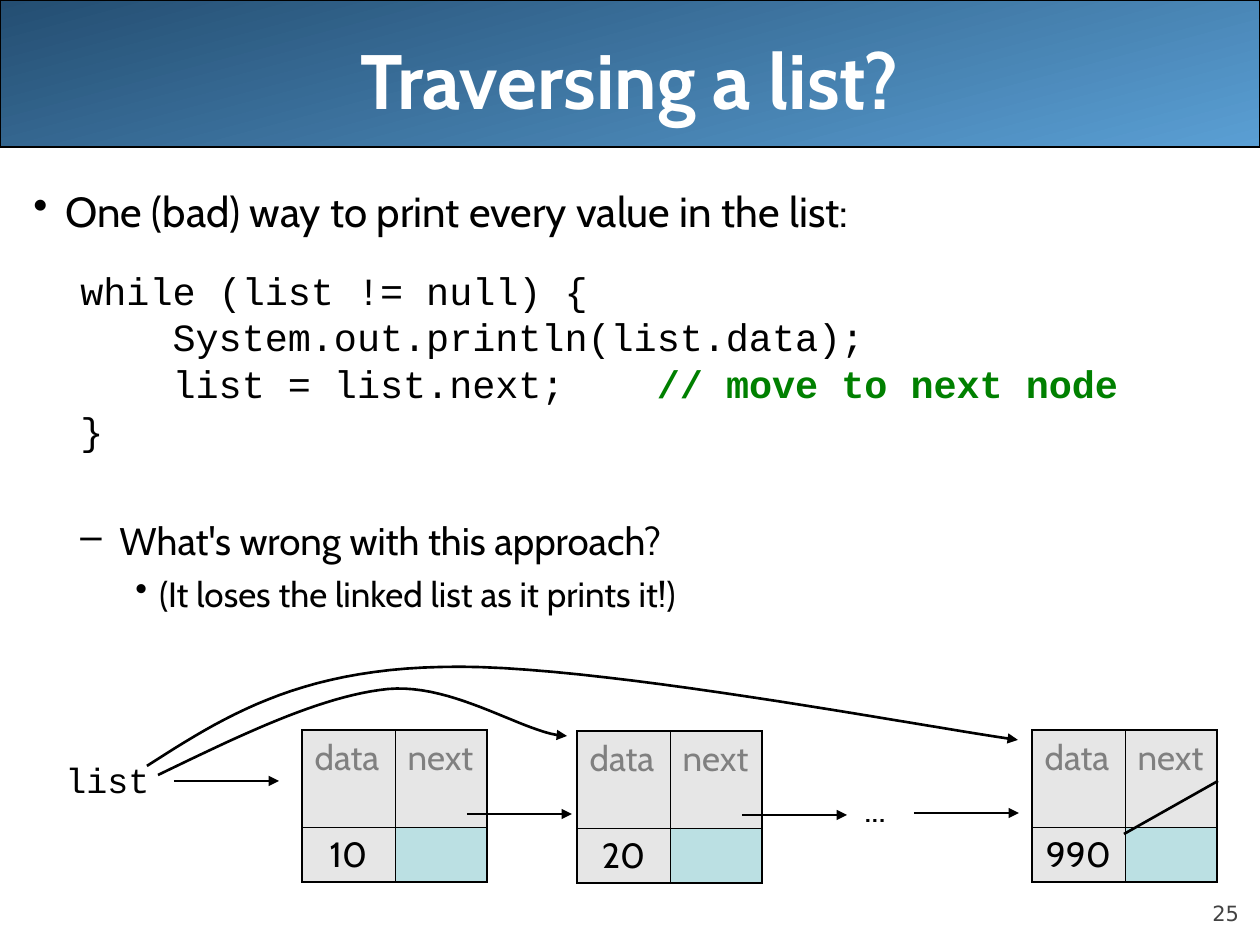
from pptx import Presentation
from pptx.dml.color import RGBColor
from pptx.enum.shapes import MSO_CONNECTOR, MSO_SHAPE
from pptx.enum.text import MSO_ANCHOR, PP_ALIGN
from pptx.oxml.ns import qn
from pptx.util import Emu, Pt
from lxml.etree import SubElement

RECTANGLE = MSO_SHAPE.RECTANGLE
STRAIGHT = MSO_CONNECTOR.STRAIGHT
TOP, MIDDLE, BOTTOM = MSO_ANCHOR.TOP, MSO_ANCHOR.MIDDLE, MSO_ANCHOR.BOTTOM
LEFT, CENTER, RIGHT = PP_ALIGN.LEFT, PP_ALIGN.CENTER, PP_ALIGN.RIGHT
EMU_PER_PX = 914400 / 126
SANS, MONO = "Cabin", "Courier New"
BLACK, WHITE, GREY, GREEN = "000000", "FFFFFF", "808080", "008000"
NODE_GREY, NODE_BLUE = "E6E6E6", "BBE0E3"
OUTER, INNER = 1.08, 0.45
COLUMNS, ROWS = (93, 92), (97, 55)


def px(length):
    """Turn pixels into EMU."""
    return Emu(round(length * EMU_PER_PX))


def color(value):
    """Turn a hex string into a colour."""
    return RGBColor.from_string(value)


def add_run(paragraph, text, size=22, font=SANS, ink=BLACK, bold=False):
    """Append a formatted run."""
    run = paragraph.add_run()
    run.text = text
    run.font.size, run.font.name, run.font.bold = Pt(size), font, bold
    run.font.color.rgb = color(ink)


def write(paragraph, text, align=LEFT, before=0, spacing=None, indent=None,
          bullet=None, level=0, **style):
    """Fill a paragraph with text in the given format."""
    properties = paragraph._p.get_or_add_pPr()
    if indent:
        margin, hanging = indent
        properties.set("marL", str(px(margin)))
        properties.set("indent", str(px(-hanging)))
    if bullet:
        SubElement(properties, qn("a:buChar")).set("char", bullet)
    paragraph.level, paragraph.alignment = level, align
    if before:
        paragraph.space_before = Pt(before)
    if spacing:
        paragraph.line_spacing = spacing
    add_run(paragraph, text, **style)


def add_frame(slide, x, y, width, height, anchor=TOP, wrap=True, inset=True):
    """Add a text box and return its text frame."""
    frame = slide.shapes.add_textbox(px(x), px(y), px(width), px(height)).text_frame
    frame.word_wrap, frame.vertical_anchor = wrap, anchor
    if not inset:
        frame.margin_left = frame.margin_right = 0
        frame.margin_top = frame.margin_bottom = 0
    return frame


def style_line(line, arrow=False):
    """Give a line its ink, and an arrowhead if asked."""
    line.color.rgb, line.width = color(BLACK), Pt(1.5)
    if arrow:
        SubElement(line._get_or_add_ln(), qn("a:tailEnd")).set("type", "triangle")


def add_link(slide, start, end, arrow=True):
    """Draw a straight link between two points."""
    link = slide.shapes.add_connector(STRAIGHT, *map(px, start + end))
    SubElement(link._element.spPr, qn("a:effectLst"))
    style_line(link.line, arrow)


def bezier(a, b, c, d, steps=24):
    """Return points along a cubic curve, without its start."""
    points = []
    for step in range(1, steps + 1):
        t = step / steps
        weights = (1 - t) ** 3, 3 * t * (1 - t) ** 2, 3 * t * t * (1 - t), t ** 3
        points.append(tuple(px(sum(w * p[axis] for w, p in zip(weights, (a, b, c, d))))
                            for axis in (0, 1)))
    return points


def add_curve(slide, x, y, knots):
    """Draw a curved arrow through two joined cubic curves."""
    knots = [(x + left, y + top) for left, top in knots]
    builder = slide.shapes.build_freeform(*map(px, knots[0]))
    builder.add_line_segments(bezier(*knots[:4]) + bezier(*knots[3:]), close=False)
    curve = builder.convert_to_shape()
    curve.shadow.inherit = False
    curve.fill.background()
    style_line(curve.line, arrow=True)


def set_borders(cell, row, column):
    """Draw thick outer and thin inner cell borders."""
    properties = cell._tc.get_or_add_tcPr()
    thick = {"L": column == 0, "R": column == 1, "T": row == 0, "B": row == 1}
    for side, is_outer in thick.items():
        border = SubElement(properties, qn(f"a:ln{side}"))
        border.set("w", str(Pt(OUTER if is_outer else INNER)))
        fill = SubElement(border, qn("a:solidFill"))
        SubElement(fill, qn("a:srgbClr")).set("val", BLACK)


def add_node(slide, x, y, value):
    """Draw one list node as a two by two table."""
    table = slide.shapes.add_table(2, 2, px(x), px(y), px(sum(COLUMNS)), px(sum(ROWS))).table
    for column, width in zip(table.columns, COLUMNS):
        column.width = px(width)
    for row, height in zip(table.rows, ROWS):
        row.height = px(height)
    texts = (("data", "next"), (value, ""))
    for row, labels in enumerate(texts):
        for column, label in enumerate(labels):
            cell = table.cell(row, column)
            set_borders(cell, row, column)
            cell.fill.solid()
            cell.fill.fore_color.rgb = color(NODE_GREY if label else NODE_BLUE)
            if label:
                write(cell.text_frame.paragraphs[0], label, size=20,
                      align=CENTER if row else LEFT, ink=BLACK if row else GREY)


def add_header(slide, x, y, width, height):
    """Draw the title band and its title."""
    band = slide.shapes.add_shape(RECTANGLE, px(x), px(y), px(width), px(height))
    band.shadow.inherit = False
    band.fill.gradient()
    band.fill.gradient_angle = 285
    for stop, ink in zip(band.fill.gradient_stops, ("244E72", "5A9FD4")):
        stop.color.rgb = color(ink)
    band.line.color.rgb, band.line.width = color(BLACK), Pt(0.75)
    title = add_frame(slide, x + 63, y, width - 126, height + 10, anchor=MIDDLE)
    write(title.paragraphs[0], "Traversing a list?", align=CENTER, size=44,
          ink=WHITE, bold=True)


def add_body(slide, x, y, width, height):
    """Write the bullets and the code between them."""
    frame = add_frame(slide, x, y, width, height)
    write(frame.paragraphs[0], "One (bad) way to print every value in the list:",
          size=24, indent=(32, 32), bullet="•")
    code = ("while (list != null) {", "    System.out.println(list.data);",
            "    list = list.next;    ", "}")
    for number, text in enumerate(code):
        line = frame.add_paragraph()
        write(line, text, font=MONO, level=1, indent=(86, 39), spacing=0.8,
              before=5.5 if number else 23)
        if number == 2:
            add_run(line, "// move to next node", font=MONO, ink=GREEN, bold=True)
    write(frame.add_paragraph(), "What's wrong with this approach?", level=1,
          indent=(86, 39), bullet="–", before=37)
    write(frame.add_paragraph(), "(It loses the linked list as it prints it!)", level=2,
          size=20, indent=(126, 24), bullet="•", before=5)


def add_linked_list(slide, x, y):
    """Draw the nodes, their links and the moving list reference."""
    for left, top, value in ((302, 70, "10"), (577, 71, "20"), (1032, 70, "990")):
        add_node(slide, x + left, y + top, value)
    for left, top in ((174, 121), (467, 154), (742, 155), (914, 153)):
        add_link(slide, (x + left, y + top), (x + left + 105, y + top))
    add_link(slide, (x + 1218, y + 121), (x + 1124, y + 174), arrow=False)
    for left, top, width, text, font in ((53, 92, 110, "list", MONO), (852, 121, 53, "...", SANS)):
        label = add_frame(slide, x + left, y + top, width, 55, wrap=False)
        write(label.paragraphs[0], text, size=20, font=font)
    add_curve(slide, x, y, ((158, 115), (239, 76), (320, 36), (388, 29),
                            (456, 23), (528, 76), (567, 76)))
    add_curve(slide, x, y, ((147, 106), (222, 58), (296, 10), (441, 7),
                            (586, 2), (924, 67), (1018, 80)))


def add_page_number(slide, x, y, width, height):
    """Write the page number at the lower right."""
    frame = add_frame(slide, x, y, width, height, anchor=BOTTOM, inset=False)
    write(frame.paragraphs[0], "25", align=RIGHT, size=12, font="DejaVu Sans", ink="424242")


def main():
    """Build the slide and save it."""
    deck = Presentation()
    deck.slide_width, deck.slide_height = px(1260), px(945)
    slide = deck.slides.add_slide(deck.slide_layouts[6])
    add_header(slide, 0, 0, 1260, 147)
    add_page_number(slide, 1134, 876, 105, 50)
    add_body(slide, 21, 179, 1239, 714)
    add_linked_list(slide, 0, 660)
    deck.save("out.pptx")


if __name__ == "__main__":
    main()
